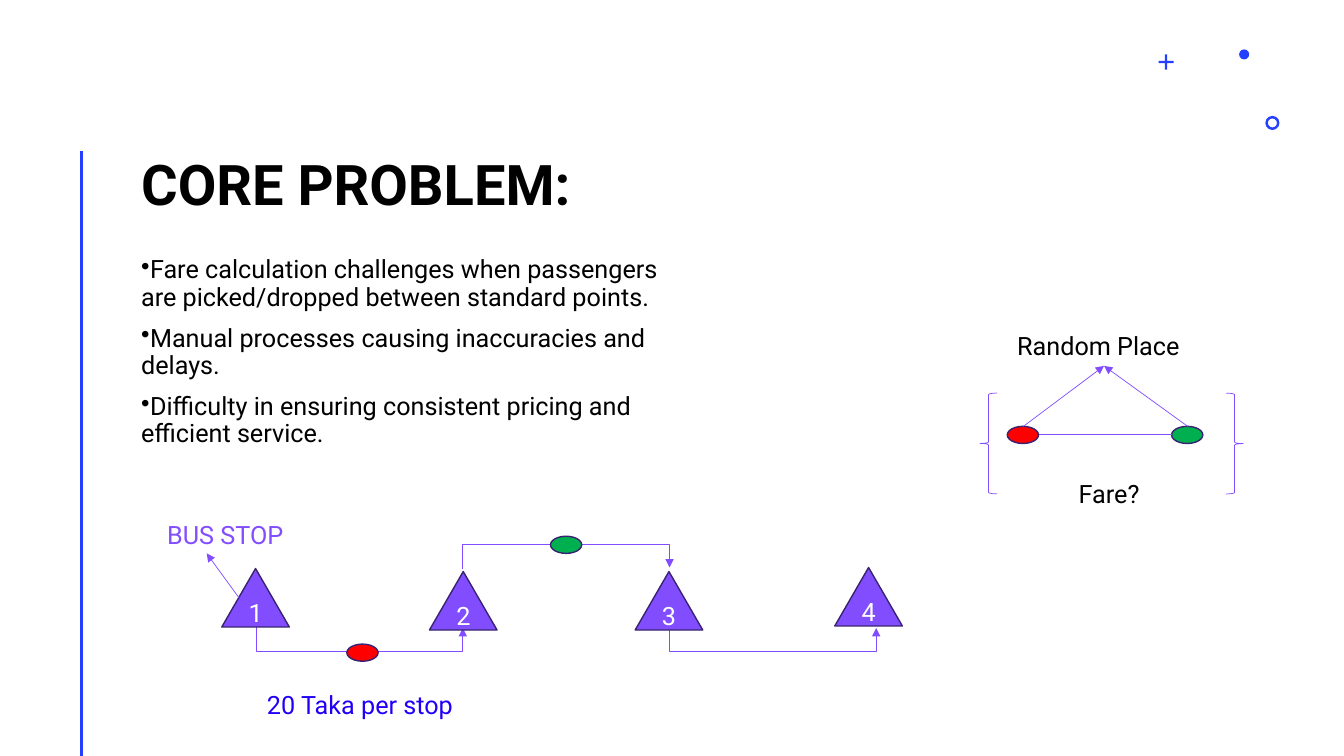
from dataclasses import dataclass

from lxml import etree
from pptx import Presentation
from pptx.dml.color import RGBColor
from pptx.enum.shapes import MSO_CONNECTOR, MSO_SHAPE
from pptx.enum.text import MSO_ANCHOR, MSO_AUTO_SIZE, PP_ALIGN
from pptx.oxml.ns import qn
from pptx.util import Inches, Pt

STRAIGHT, ELBOW = MSO_CONNECTOR.STRAIGHT, MSO_CONNECTOR.ELBOW
TRIANGLE, OVAL = MSO_SHAPE.ISOSCELES_TRIANGLE, MSO_SHAPE.OVAL
BRACE, PLUS, RING = MSO_SHAPE.LEFT_BRACE, MSO_SHAPE.CROSS, MSO_SHAPE.DONUT
TOP, MIDDLE, BOTTOM = MSO_ANCHOR.TOP, MSO_ANCHOR.MIDDLE, MSO_ANCHOR.BOTTOM
CENTER = PP_ALIGN.CENTER
FIT_SHAPE = MSO_AUTO_SIZE.SHAPE_TO_FIT_TEXT


@dataclass(frozen=True)
class Theme:
    font: str = "Roboto"
    title_size: int = 40
    text_size: int = 18
    black: str = "000000"
    white: str = "FFFFFF"
    blue: str = "243FFF"
    price: str = "2100F8"
    violet: str = "814DFF"
    outline: str = "392270"
    red: str = "FF0000"
    green: str = "00B050"


def write(frame, lines, *, theme, size, color, bold=False, align=None,
          spacing=None, gap=0, bullet=None):
    """Fill a text frame with one paragraph per line."""
    for index, line in enumerate(lines):
        para = frame.paragraphs[0] if index == 0 else frame.add_paragraph()
        if bullet:
            properties = para._p.get_or_add_pPr()
            properties.set("marL", "0")
            properties.set("indent", "0")
            etree.SubElement(properties, qn("a:buChar")).set("char", bullet)
        if align is not None:
            para.alignment = align
        if spacing is not None:
            para.line_spacing = spacing
        if index and gap:
            para.space_before = Pt(gap)
        span = para.add_run()
        span.text = line
        span.font.name = theme.font
        span.font.size = Pt(size)
        span.font.bold = bold
        span.font.color.rgb = RGBColor.from_string(color)


class Page:
    def __init__(self, deck, theme):
        self.theme = theme
        self.shapes = deck.slides.add_slide(deck.slide_layouts[6]).shapes

    def text(self, left, top, width, height, lines, *, size=None, color=None,
             anchor=TOP, **style):
        """Wrapping text block without margins."""
        box = self.shapes.add_textbox(Inches(left), Inches(top), Inches(width), Inches(height))
        frame = box.text_frame
        frame.word_wrap = True
        frame.vertical_anchor = anchor
        frame.margin_left = frame.margin_right = frame.margin_top = frame.margin_bottom = 0
        write(frame, lines, theme=self.theme, size=size or self.theme.text_size,
              color=color or self.theme.black, **style)

    def label(self, left, top, width, text, color):
        """One-line label that fits its text."""
        box = self.shapes.add_textbox(Inches(left), Inches(top), Inches(width), Inches(0.4))
        box.text_frame.word_wrap = False
        box.text_frame.auto_size = FIT_SHAPE
        write(box.text_frame, [text], theme=self.theme,
              size=self.theme.text_size, color=color)

    def shape(self, kind, left, top, width, height, *, fill=None, line=None,
              weight=1, turn=0, adjust=None, text=None):
        item = self.shapes.add_shape(kind, Inches(left), Inches(top), Inches(width), Inches(height))
        item.shadow.inherit = False
        item.rotation = turn
        if adjust is not None:
            item.adjustments[0] = adjust
        if fill:
            item.fill.solid()
            item.fill.fore_color.rgb = RGBColor.from_string(fill)
        else:
            item.fill.background()
        if line:
            item.line.color.rgb = RGBColor.from_string(line)
            item.line.width = Pt(weight)
        else:
            item.line.fill.background()
        if text:
            item.text_frame.vertical_anchor = MIDDLE
            write(item.text_frame, [text], theme=self.theme, align=CENTER,
                  size=self.theme.text_size, color=self.theme.white)

    def line(self, start, end, *, kind=STRAIGHT, color=None, weight=0.5, arrow=False):
        item = self.shapes.add_connector(kind, *map(Inches, (*start, *end)))
        item.line.color.rgb = RGBColor.from_string(color or self.theme.violet)
        item.line.width = Pt(weight)
        if arrow:
            tail = etree.SubElement(item.line._get_or_add_ln(), qn("a:tailEnd"))
            tail.set("type", "triangle")
        etree.SubElement(item._element.spPr, qn("a:effectLst"))
        return item

    def route(self, left, middle, *, below):
        """Elbow arrow between neighbouring stops, a quarter turned."""
        run, rise, depth = 2.05, 0.02, 0.25
        side = 1 if below else -1
        center = left + run / 2
        item = self.line((center + rise / 2, middle - side * run / 2),
                         (center - rise / 2, middle + side * run / 2),
                         kind=ELBOW, arrow=True)
        properties = item._element.spPr
        properties.find(qn("a:xfrm")).set("rot", str((270 if below else 90) * 60000))
        geometry = properties.find(qn("a:prstGeom"))
        values = geometry.find(qn("a:avLst"))
        if values is None:
            values = etree.SubElement(geometry, qn("a:avLst"))
        guide = etree.SubElement(values, qn("a:gd"))
        guide.set("name", "adj1")
        guide.set("fmla", f"val {round(depth / rise * 100000)}")

    def passenger(self, left, top, color):
        self.shape(OVAL, left, top, 0.31, 0.17, fill=color, line=self.theme.outline)


def main():
    theme = Theme()
    deck = Presentation()
    deck.slide_width, deck.slide_height = Inches(13.33), Inches(7.5)
    page = Page(deck, theme)

    # Decoration
    page.line((0.81, 1.5), (0.81, 7.5), color=theme.blue, weight=2)
    page.shape(PLUS, 11.49, 0.54, 0.15, 0.15, fill=theme.blue, adjust=0.43)
    page.shape(RING, 12.55, 1.15, 0.14, 0.14, fill=theme.blue, adjust=0.18)
    page.shape(OVAL, 12.29, 0.49, 0.1, 0.1, fill=theme.blue)

    # Title and bullets
    page.text(1.4, 0.75, 9.99, 1.4, ["CORE PROBLEM:"], size=theme.title_size,
              bold=True, anchor=BOTTOM, spacing=Pt(40))
    page.text(1.4, 2.55, 5.3, 4.42, [
        "Fare calculation challenges when passengers are picked/dropped between standard points.",
        "Manual processes causing inaccuracies and delays.",
        "Difficulty in ensuring consistent pricing and efficient service.",
    ], spacing=0.9, gap=10, bullet="•")

    # Bus route: stops, arrows and passengers
    for left, middle, below in ((2.54, 6.22, True), (4.59, 5.64, False), (6.64, 6.22, True)):
        page.route(left, middle, below=below)
    stops = ((2.2, 5.64), (4.26, 5.67), (6.3, 5.67), (8.28, 5.63))
    for number, (left, top) in enumerate(stops, 1):
        page.shape(TRIANGLE, left, top, 0.67, 0.58, fill=theme.violet,
                   line=theme.outline, text=str(number))
    page.passenger(3.44, 6.39, theme.red)
    page.passenger(5.46, 5.32, theme.green)
    page.line((2.37, 5.93), (2.05, 5.49), arrow=True)
    page.label(1.56, 5.1, 1.48, "BUS STOP", theme.violet)
    page.label(2.55, 6.79, 2.17, "20 Taka per stop", theme.price)

    # Fare question between two random places
    page.passenger(9.99, 4.23, theme.red)
    page.passenger(11.62, 4.23, theme.green)
    page.line((10.31, 4.31), (11.62, 4.31))
    for left, turn in ((9.72, 0), (12.16, 180)):
        page.shape(BRACE, left, 3.9, 0.17, 1, line=theme.violet, weight=0.5, turn=turn)
    for left in (10.15, 11.78):
        page.line((left, 4.23), (10.95, 3.63), arrow=True)
    page.label(9.99, 3.23, 1.91, "Random Place", theme.black)
    page.label(10.6, 4.7, 0.85, "Fare?", theme.black)

    deck.save("out.pptx")


if __name__ == "__main__":
    main()
